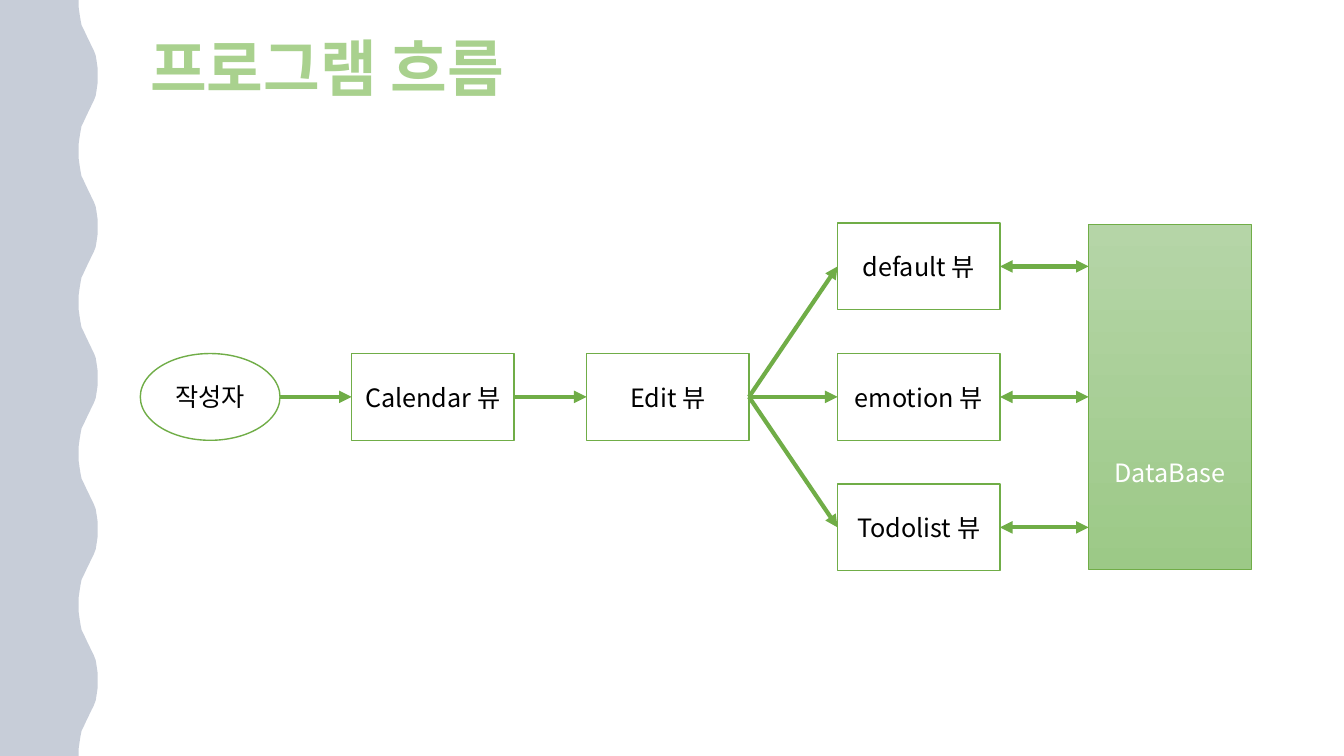
from dataclasses import dataclass
from typing import Optional

from lxml.etree import SubElement
from pptx import Presentation
from pptx.dml.color import RGBColor
from pptx.enum.shapes import MSO_CONNECTOR as Connector, MSO_SHAPE as Preset
from pptx.enum.text import MSO_ANCHOR as Anchor, PP_ALIGN as Align
from pptx.oxml.ns import qn
from pptx.util import Pt


@dataclass(frozen=True)
class Theme:
    font: str = "Noto Sans CJK KR"
    title_size: float = 44
    label_size: float = 18
    title: str = "A9D18E"
    green: str = "70AD47"
    ink: str = "000000"
    paper: str = "FFFFFF"
    wave: str = "203864"
    wave_alpha: int = 25
    database: tuple = ("B5D5A7", "9CC987")


@dataclass(frozen=True)
class Node:
    text: str
    left: float
    top: float
    width: float = 116
    height: float = 62
    preset: Preset = Preset.RECTANGLE
    line_width: float = 1
    gradient: Optional[tuple] = None
    top_inset: float = 3.6

    @property
    def right(self) -> float:
        return self.left + self.width

    @property
    def middle(self) -> float:
        return self.top + self.height / 2


@dataclass(frozen=True)
class Arrow:
    start: Node
    end: Node
    level: Optional[float] = None  # height of the arrow's end, if not the middle of the end node
    both_ways: bool = False


THEME = Theme()
PAGE_WIDTH, PAGE_HEIGHT = 960, 540
LEFT_SITE, RIGHT_SITE = 1, 3

# Half of one wave on the side band; the other half mirrors it
WAVE_PERIOD = 108
HALF_WAVE = [(56.2, 0), (56.2, 5), (56.9, 10), (57.6, 14.4), (58.3, 18),
             (59.8, 21), (61.2, 24), (62.6, 27), (64.1, 30), (65.5, 33),
             (67, 36), (68.4, 39.6), (69.1, 44), (69.8, 49), (69.8, 54)]

# Flow: three rows of boxes, the main line in the middle row
ROWS = [159.3 + 93.2 * row for row in range(3)]
AUTHOR = Node("작성자", 100.2, ROWS[1], width=99.8, preset=Preset.OVAL)
CALENDAR = Node("Calendar 뷰", 251.2, ROWS[1])
EDIT = Node("Edit 뷰", 419, ROWS[1])
VIEWS = [Node(f"{name} 뷰", 598.3, top)
         for name, top in zip(("default", "emotion", "Todolist"), ROWS)]
DATABASE = Node("DataBase", 777.6, 160, height=247, line_width=0.5,
                gradient=THEME.database, top_inset=112)
NODES = [AUTHOR, CALENDAR, EDIT, *VIEWS, DATABASE]
ARROWS = [Arrow(AUTHOR, CALENDAR), Arrow(CALENDAR, EDIT),
          *(Arrow(EDIT, view) for view in VIEWS),
          *(Arrow(view, DATABASE, None if view is VIEWS[1] else view.middle, True)
            for view in VIEWS)]


def style_paragraph(para, size: float, color: str, bold: bool = False) -> None:
    font = para.font
    font.size, font.bold, font.name = Pt(size), bold, THEME.font
    font.color.rgb = RGBColor.from_string(color)
    SubElement(font._element, qn("a:ea"), typeface=THEME.font)


def add_title(page, text: str) -> None:
    title = page.shapes.title
    title.left, title.top, title.width, title.height = Pt(100), Pt(24), Pt(799), Pt(117)
    frame = title.text_frame
    frame.text = text
    frame.vertical_anchor = Anchor.TOP
    para = frame.paragraphs[0]
    para.alignment, para.line_spacing = Align.LEFT, 0.9
    style_paragraph(para, THEME.title_size, THEME.title, bold=True)


def add_wave(page) -> None:
    period = HALF_WAVE + [(x, WAVE_PERIOD - y) for x, y in HALF_WAVE[-2::-1]]
    edge = [(x, y + WAVE_PERIOD * turn)
            for turn in range(PAGE_HEIGHT // WAVE_PERIOD) for x, y in period]
    builder = page.shapes.build_freeform(0, 0)
    builder.add_line_segments([(Pt(x), Pt(y)) for x, y in edge + [(0, PAGE_HEIGHT)]], close=True)
    band = builder.convert_to_shape()
    band.shadow.inherit = False
    band.line.fill.background()
    band.fill.solid()
    band.fill.fore_color.rgb = RGBColor.from_string(THEME.wave)
    color = band._element.spPr.find(qn("a:solidFill")).find(qn("a:srgbClr"))
    SubElement(color, qn("a:alpha"), val=str(THEME.wave_alpha * 1000))


def add_node(page, node: Node):
    box = page.shapes.add_shape(node.preset, Pt(node.left), Pt(node.top),
                                Pt(node.width), Pt(node.height))
    box.shadow.inherit = False
    box.line.color.rgb = RGBColor.from_string(THEME.green)
    box.line.width = Pt(node.line_width)
    if node.gradient:
        box.fill.gradient()
        box.fill.gradient_angle = 270
        for stop, color in zip(box.fill.gradient_stops, node.gradient):
            stop.color.rgb = RGBColor.from_string(color)
    else:
        box.fill.solid()
        box.fill.fore_color.rgb = RGBColor.from_string(THEME.paper)
    frame = box.text_frame
    frame.text = node.text
    frame.word_wrap = True
    frame.vertical_anchor = Anchor.MIDDLE
    frame.margin_left = frame.margin_right = Pt(3.6)
    frame.margin_top = Pt(node.top_inset)
    para = frame.paragraphs[0]
    para.alignment = Align.CENTER
    style_paragraph(para, THEME.label_size, THEME.paper if node.gradient else THEME.ink)
    return box


def add_arrow(page, arrow: Arrow, boxes: dict) -> None:
    end_level = arrow.end.middle if arrow.level is None else arrow.level
    line = page.shapes.add_connector(Connector.STRAIGHT,
                                     Pt(arrow.start.right), Pt(arrow.start.middle),
                                     Pt(arrow.end.left), Pt(end_level))
    if arrow.start.preset == Preset.RECTANGLE:
        line.begin_connect(boxes[arrow.start], RIGHT_SITE)
    if arrow.level is None:
        line.end_connect(boxes[arrow.end], LEFT_SITE)
    line.line.color.rgb = RGBColor.from_string(THEME.green)
    line.line.width = Pt(3)
    outline = line.line._get_or_add_ln()
    if arrow.both_ways:
        SubElement(outline, qn("a:headEnd"), type="triangle")
    SubElement(outline, qn("a:tailEnd"), type="triangle")
    SubElement(line._element.spPr, qn("a:effectLst"))


def main() -> None:
    deck = Presentation()
    deck.slide_width, deck.slide_height = Pt(PAGE_WIDTH), Pt(PAGE_HEIGHT)
    page = deck.slides.add_slide(deck.slide_layouts[5])
    add_title(page, "프로그램 흐름")
    add_wave(page)
    boxes = {node: add_node(page, node) for node in NODES}
    for arrow in ARROWS:
        add_arrow(page, arrow, boxes)
    deck.save("out.pptx")


if __name__ == "__main__":
    main()
